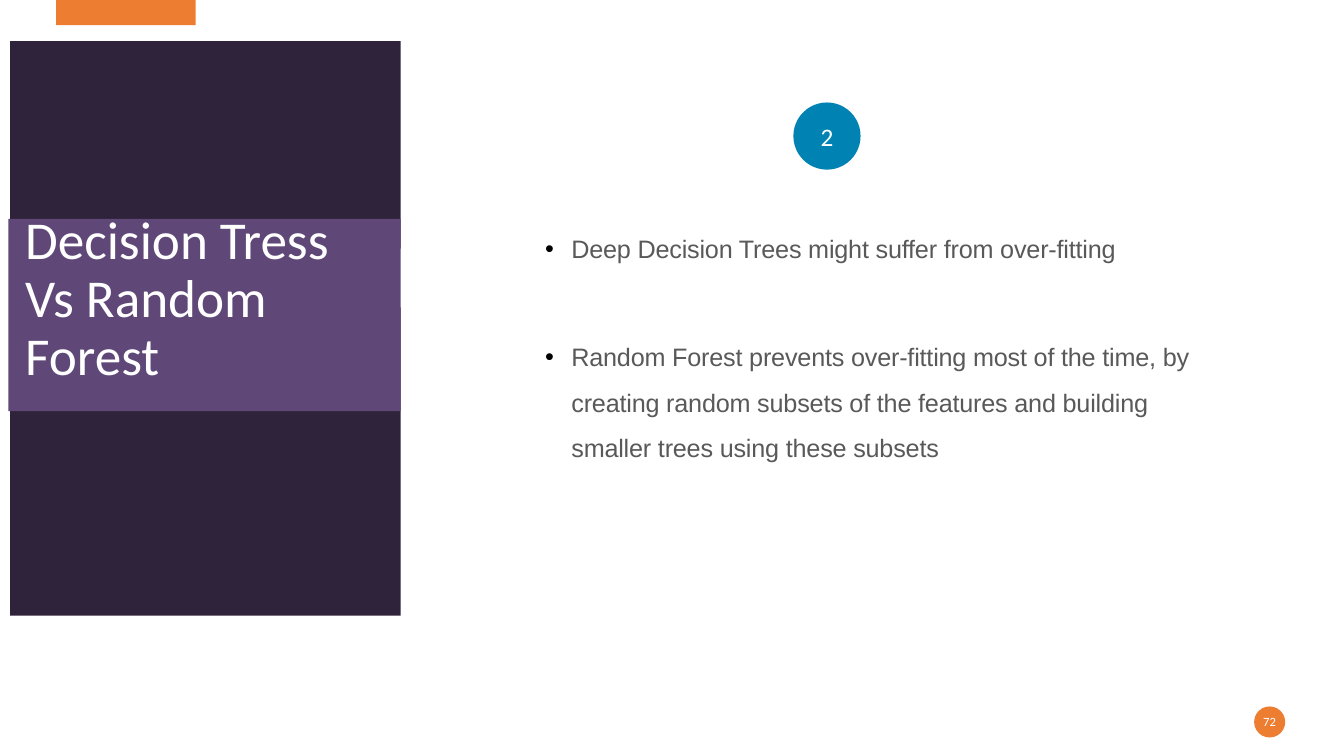
from dataclasses import dataclass

import lxml.etree
import pptx
import pptx.dml.color
import pptx.enum.shapes
import pptx.enum.text
import pptx.oxml.ns
import pptx.util

COLUMNS, ROWS = 160, 90
CELL = pptx.util.Inches(7.5) / ROWS
RECTANGLE = pptx.enum.shapes.MSO_SHAPE.RECTANGLE
OVAL = pptx.enum.shapes.MSO_SHAPE.OVAL
ORANGE, PLUM, VIOLET, BLUE = "ED7D31", "2F233B", "5F4778", "0083B3"
WHITE, GREY, BLACK = "FFFFFF", "595959", "000000"


@dataclass(frozen=True)
class Area:
    column: float
    row: float
    columns: float
    rows: float

    def emu(self) -> list[int]:
        return [round(n * CELL) for n in (self.column, self.row, self.columns, self.rows)]


@dataclass(frozen=True)
class Panel:
    area: Area
    fill: str
    outline: int = RECTANGLE
    label: str = ""
    size: float = 18


@dataclass(frozen=True)
class Point:
    area: Area
    text: str
    spacing: float


PANELS = [
    Panel(Area(6.7, 0, 16.6, 3), ORANGE),
    Panel(Area(149.3, 84.1, 3.7, 3.7), ORANGE, OVAL, "72", 9),
    Panel(Area(1.2, 4.9, 46.5, 24.7), PLUM),
    Panel(Area(1.2, 36.6, 46.5, 36.7), PLUM),
    Panel(Area(1, 26.05, 46.7, 22.9), VIOLET),
    Panel(Area(94.45, 12.2, 8, 8), BLUE, OVAL, "2"),
]
POINTS = [
    Point(Area(63.6, 27.2, 71, 4.8), "Deep Decision Trees might suffer from over-fitting", 1),
    Point(
        Area(63.6, 38.2, 80, 17),
        "Random Forest prevents over-fitting most of the time, by creating random "
        "subsets of the features and building smaller trees using these subsets",
        1.51,
    ),
]


def color(value: str) -> pptx.dml.color.RGBColor:
    return pptx.dml.color.RGBColor.from_string(value)


def write(frame, text: str, face: str, size: float, ink: str):
    frame.text = text
    paragraph = frame.paragraphs[0]
    font = paragraph.runs[0].font
    font.name = face
    font.size = pptx.util.Pt(size)
    font.color.rgb = color(ink)
    return paragraph


def clear_margins(frame) -> None:
    frame.margin_left = frame.margin_right = 0
    frame.margin_top = frame.margin_bottom = 0


def draw_panel(slide, panel: Panel) -> None:
    shape = slide.shapes.add_shape(panel.outline, *panel.area.emu())
    shape.shadow.inherit = False
    shape.fill.solid()
    shape.fill.fore_color.rgb = color(panel.fill)
    shape.line.fill.background()
    if panel.label:
        frame = shape.text_frame
        clear_margins(frame)
        frame.word_wrap = False
        frame.vertical_anchor = pptx.enum.text.MSO_ANCHOR.MIDDLE
        label = write(frame, panel.label, "Calibri", panel.size, WHITE)
        label.alignment = pptx.enum.text.PP_ALIGN.CENTER


def draw_title(slide, area: Area, text: str) -> None:
    frame = slide.shapes.add_textbox(*area.emu()).text_frame
    clear_margins(frame)
    frame.margin_top = pptx.util.Inches(0.09)
    frame.word_wrap = True
    title = write(frame, text, "Calibri", 38, WHITE)
    title.line_spacing = pptx.util.Pt(41.3)


def add_bullet(paragraph) -> None:
    qn = pptx.oxml.ns.qn
    properties = paragraph._p.get_or_add_pPr()
    properties.set("marL", str(pptx.util.Inches(0.27)))
    properties.set("indent", str(pptx.util.Inches(-0.26)))
    bullet_color = lxml.etree.SubElement(properties, qn("a:buClr"))
    lxml.etree.SubElement(bullet_color, qn("a:srgbClr"), val=BLACK)
    lxml.etree.SubElement(properties, qn("a:buFont"), typeface="Arial")
    lxml.etree.SubElement(properties, qn("a:buChar"), char="•")


def draw_point(slide, point: Point) -> None:
    frame = slide.shapes.add_textbox(*point.area.emu()).text_frame
    frame.word_wrap = True
    paragraph = write(frame, point.text, "Arial", 18, GREY)
    add_bullet(paragraph)
    paragraph.line_spacing = point.spacing
    paragraph.runs[0].font._element.set("spc", "-15")


def main() -> None:
    deck = pptx.Presentation()
    deck.slide_width = round(COLUMNS * CELL)
    deck.slide_height = round(ROWS * CELL)
    slide = deck.slides.add_slide(deck.slide_layouts[6])
    for panel in PANELS:
        draw_panel(slide, panel)
    draw_title(slide, Area(3, 24.2, 42.7, 21.7), "Decision Tress Vs Random Forest")
    for point in POINTS:
        draw_point(slide, point)
    deck.save("out.pptx")


if __name__ == "__main__":
    main()
